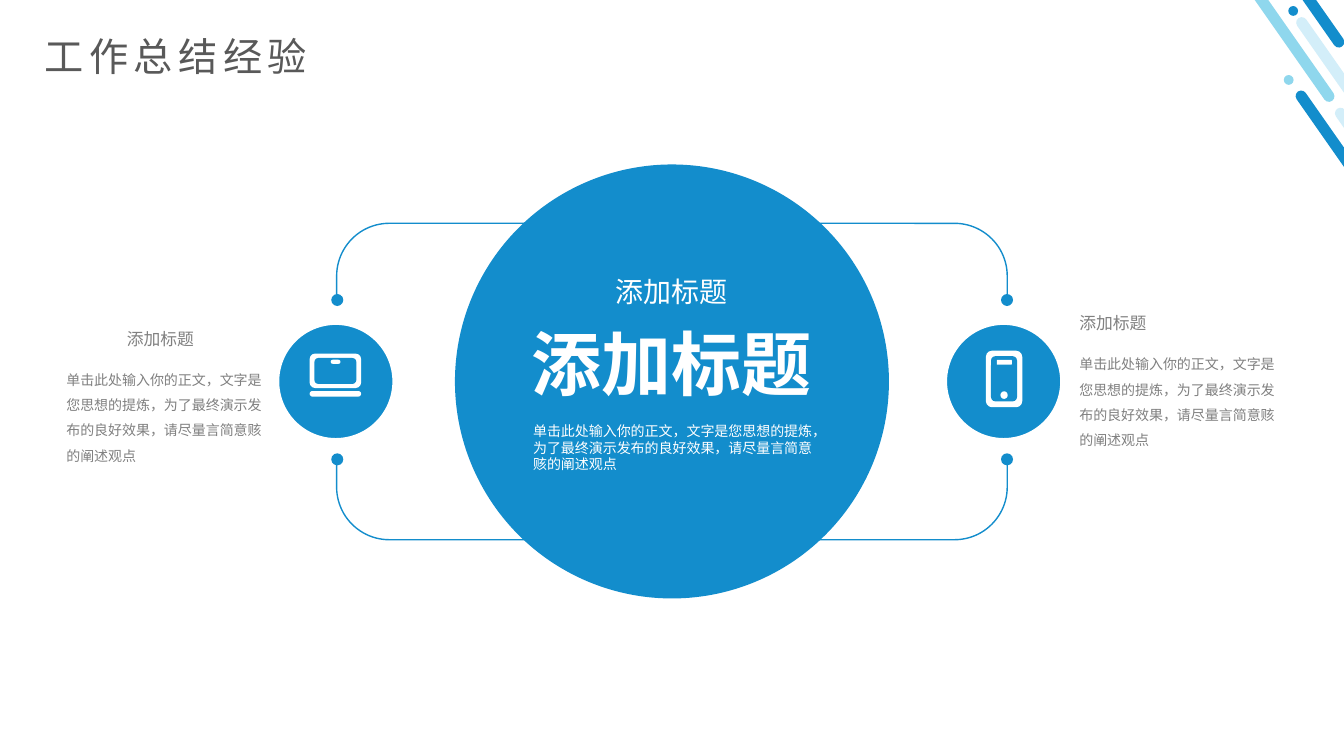
from lxml import etree
from pptx import Presentation
from pptx.dml.color import RGBColor
from pptx.enum.shapes import MSO_SHAPE
from pptx.enum.text import MSO_ANCHOR, MSO_AUTO_SIZE, PP_ALIGN
from pptx.oxml.ns import qn
from pptx.util import Pt

OVAL, ROUND = MSO_SHAPE.OVAL, MSO_SHAPE.ROUNDED_RECTANGLE
LEFT, CENTER = PP_ALIGN.LEFT, PP_ALIGN.CENTER
TOP, FIXED = MSO_ANCHOR.TOP, MSO_AUTO_SIZE.NONE
FONT = "Noto Sans CJK SC"
COLORS = {"blue": "138DCC", "sky": "8FD7ED", "pale": "D3EEF9",
          "white": "FFFFFF", "dark": "595959", "gray": "808080"}
HEAD = "添加标题"
BODY = "单击此处输入你的正文，文字是您思想的提炼，为了最终演示发布的良好效果，请尽量言简意赅的阐述观点"

deck = Presentation()
deck.slide_width, deck.slide_height = Pt(960), Pt(540)
slide = deck.slides.add_slide(deck.slide_layouts[5])
shapes = slide.shapes


def draw(kind, box, fill=None, line=None, width=1, round=None):
    shape = shapes.add_shape(kind, *map(Pt, box))
    shape.shadow.inherit = False
    if fill:
        shape.fill.solid()
        shape.fill.fore_color.rgb = RGBColor.from_string(COLORS[fill])
    else:
        shape.fill.background()
    if line:
        shape.line.color.rgb = RGBColor.from_string(COLORS[line])
        shape.line.width = Pt(width)
    else:
        shape.line.fill.background()
    if round is not None:
        shape.adjustments[0] = round
    return shape


def write(box, text, size, color, align=LEFT, bold=False, space=1, shape=None):
    shape = shape or shapes.add_textbox(0, 0, 0, 0)
    shape.left, shape.top, shape.width, shape.height = map(Pt, box)
    frame = shape.text_frame
    frame.text = text
    frame.word_wrap = True
    frame.auto_size = FIXED
    frame.vertical_anchor = TOP
    para = frame.paragraphs[0]
    para.alignment = align
    para.line_spacing = space
    font = para.font
    font.name, font.size, font.bold = FONT, Pt(size), bold
    font.color.rgb = RGBColor.from_string(COLORS[color])
    props = para._p.pPr.find(qn("a:defRPr"))
    etree.SubElement(props, qn("a:ea")).set("typeface", FONT)
    return props


for x, y, tall, color in [(968.4, 51.1, 157.7, "blue"), (996.5, 63.4, 157.7, "pale"),
                          (890.6, -108.7, 198.7, "sky"), (980.6, -5, 198.7, "pale"),
                          (909.4, -110.2, 157.7, "blue")]:
    draw(ROUND, (x, y, 7.9, tall), color, round=0.5).rotation = 325
draw(OVAL, (917, 53.6, 7, 7), "sky")
draw(OVAL, (920.2, 4.3, 7, 7), "blue")

title = write((24.5, 19.4, 937.4, 41), "工作总结经验", 28, "dark", shape=shapes.title)
title.set("spc", "400")

draw(OVAL, (325, 117.5, 310, 310), "blue")
draw(ROUND, (240.5, 159.5, 479, 226), line="blue")

for x, dot in [(192, 236.6), (669, 715)]:
    draw(OVAL, (x, 224.6, 95.8, 95.8), "blue", "white", 15)
    for y in (210, 323.8):
        draw(OVAL, (dot, y, 8.6, 8.6), "blue")

for x, head, y in [(40.3, 83.5, 231.1), (763.9, 763.9, 219.9)]:
    write((head, y, 113, 21.6), HEAD, 12, "gray")
    write((x, y + 24.7, 161.3, 55.4), BODY, 10, "gray", space=1.5)

write((368.6, 192.2, 222.5, 31.7), HEAD, 20, "white", CENTER)
write((368.6, 225.4, 222.5, 67.7), HEAD, 50, "white", CENTER, True)
write((373.7, 298.1, 214.6, 55.4), BODY, 10, "white")

for box, color, round in [((221.2, 252.6, 36.8, 24.6), "white", 0.16),
                          ((224.6, 255.7, 30, 18.6), "blue", 0.16),
                          ((236.2, 257, 7, 2.9), "white", 0.5),
                          ((221.2, 279.3, 36.8, 4), "white", 0.5),
                          ((704.2, 250.5, 26, 40.4), "white", 0.17),
                          ((707.9, 254.4, 18.6, 32.3), "blue", 0.17),
                          ((712, 257.1, 10.7, 3.4), "white", 0.1),
                          ((714.6, 279.5, 5.2, 5.4), "white", 0.5)]:
    draw(ROUND, box, color, round=round)

deck.save("out.pptx")
